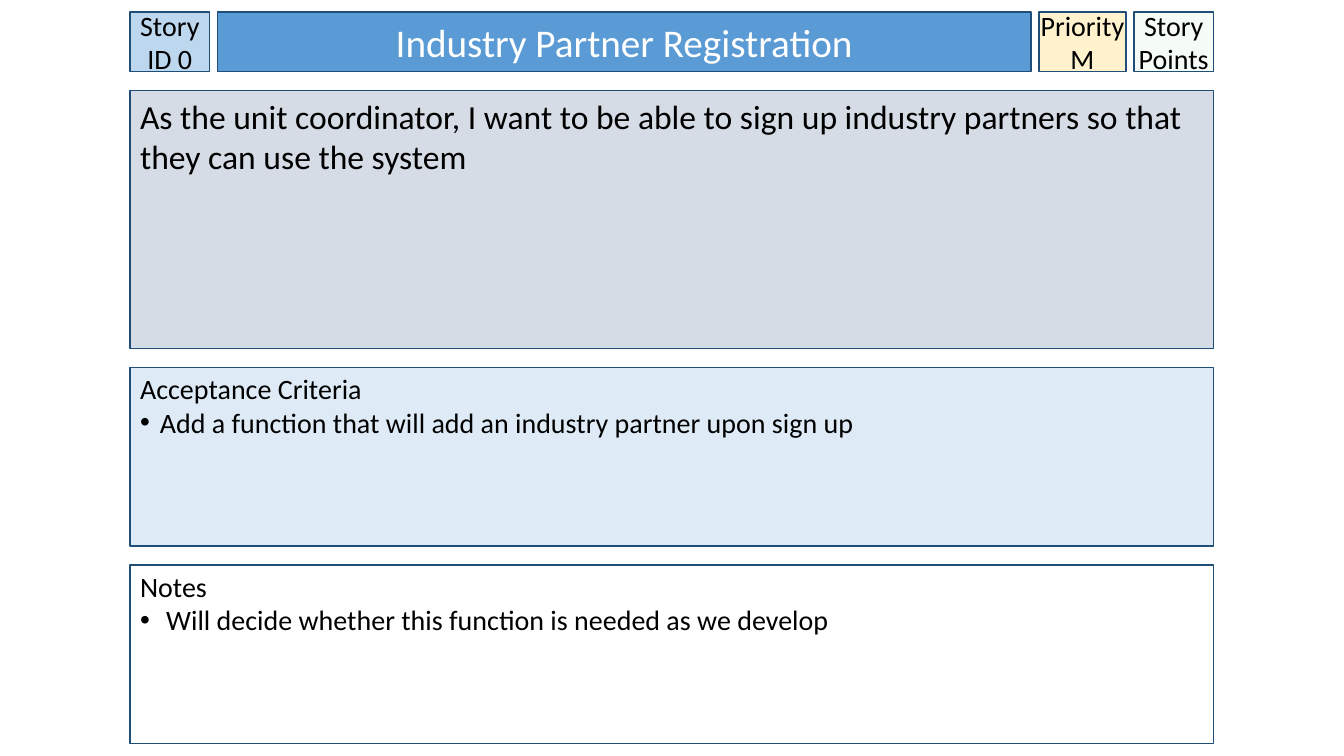
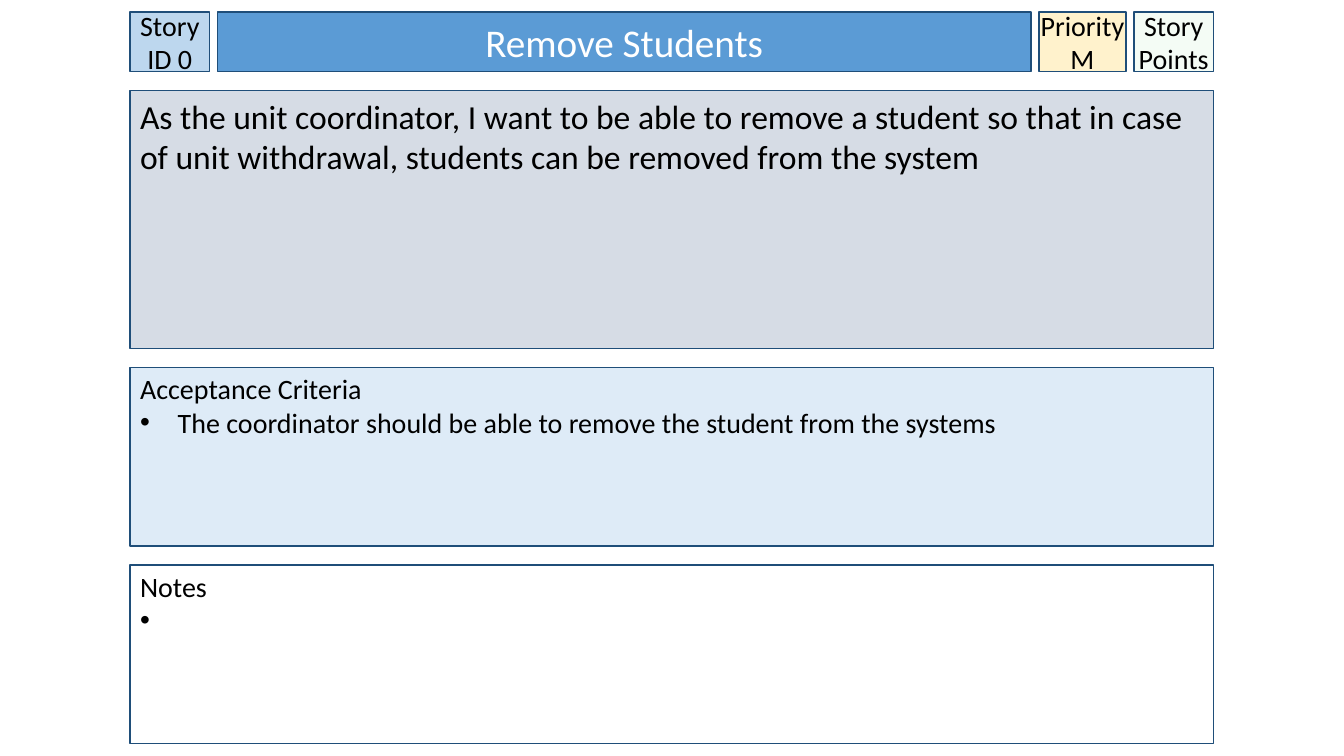
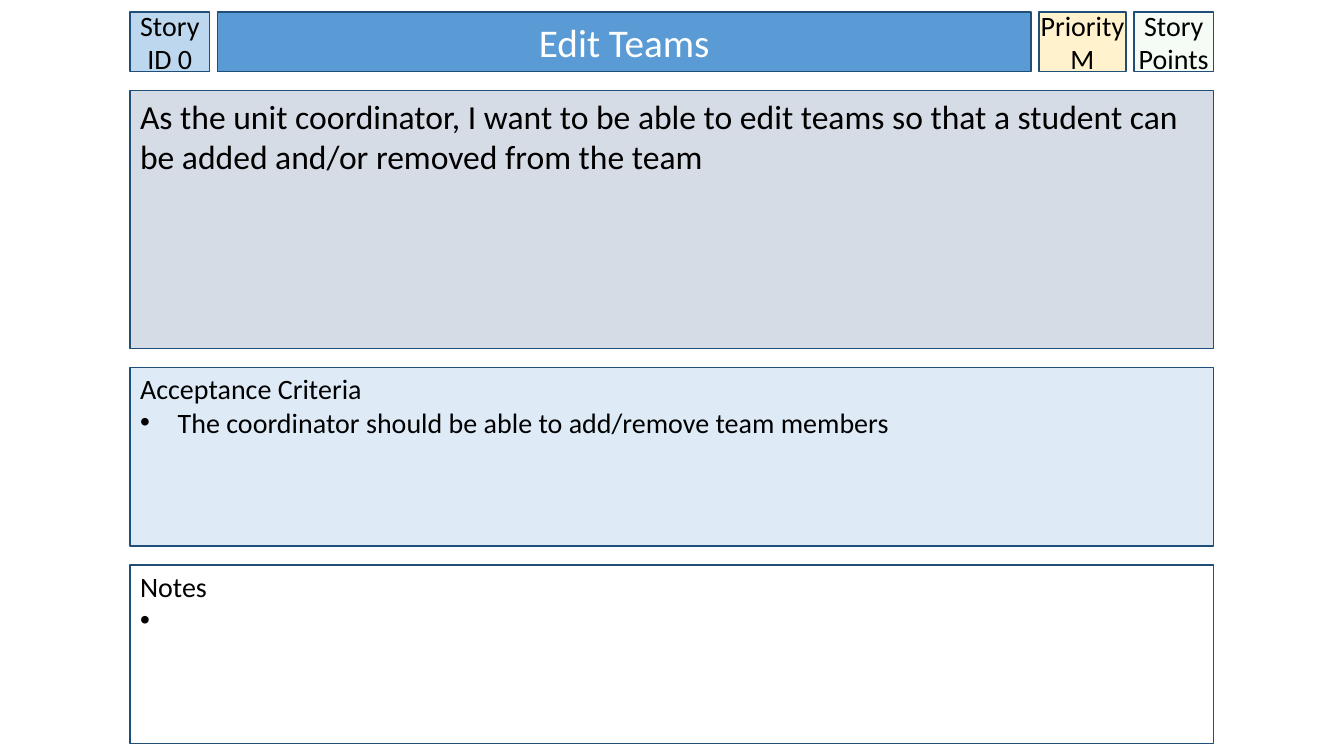
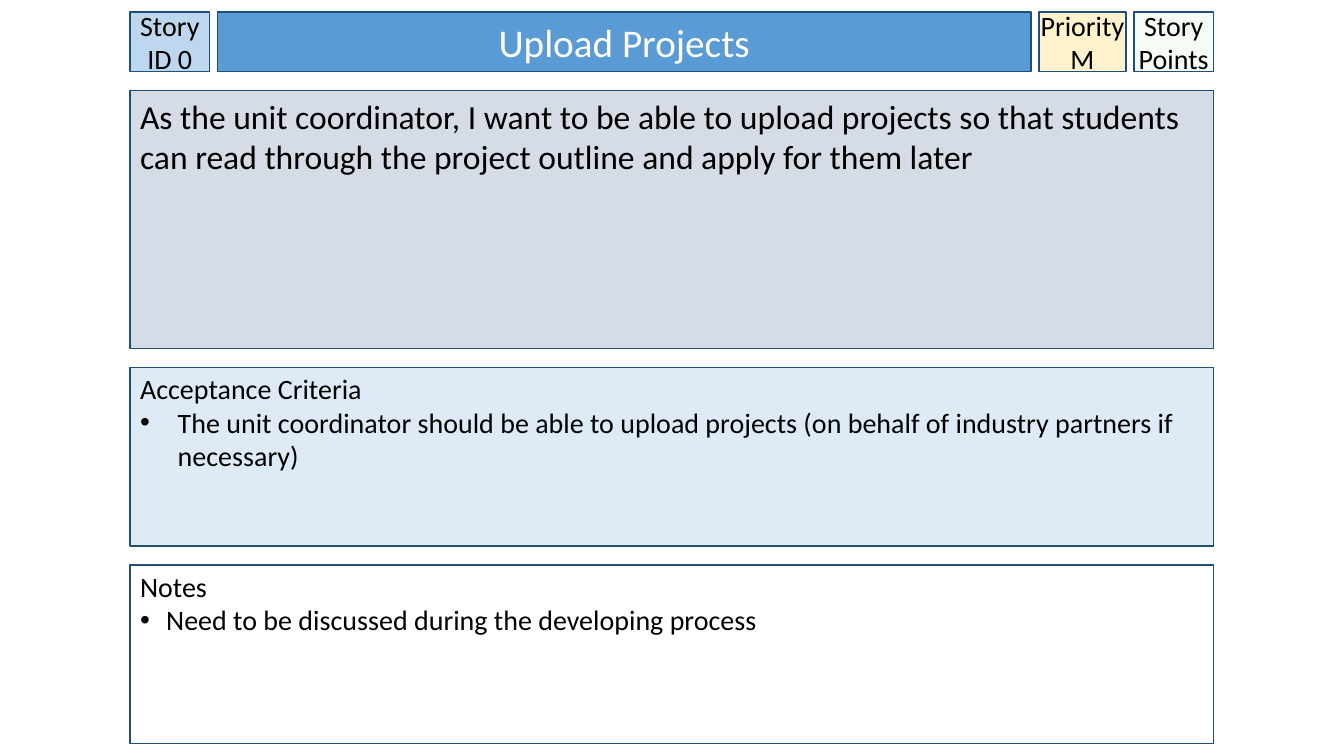
from dataclasses import dataclass

from lxml.etree import SubElement
from pptx import Presentation
from pptx.dml.color import RGBColor
from pptx.enum.shapes import MSO_SHAPE as Shape
from pptx.enum.text import MSO_ANCHOR as Anchor, PP_ALIGN as Align
from pptx.oxml.ns import qn
from pptx.util import Cm, Pt

FONT = "Calibri"
BLACK, WHITE, BORDER = "000000", "FFFFFF", "1F4E79"
ID_FILL, TITLE_FILL = "BDD7EE", "5B9BD5"
PRIORITY_FILL, POINTS_FILL = "FFF2CC", "CCF0CD"
STORY_FILL, CRITERIA_FILL = "D6DCE5", "DEEBF7"

CARD_LEFT, CARD_TOP, CARD_WIDTH = 3.28, 0.3, 27.3
HEADER_HEIGHT, HEADER_GAP = 1.5, 0.2
STORY_HEIGHT, LIST_HEIGHT, PANEL_GAP = 6.5, 4.5, 0.48
NARROW_INDENT, NOTE_INDENT, WIDE_INDENT = 0.5, 0.66, 0.95


@dataclass
class Story:
    """The wording of one story card."""

    title: str
    text: str
    criterion: str
    note: str = " "
    criterion_indent: float = WIDE_INDENT


STORIES = [
    Story("Industry Partner Registration",
          "As the unit coordinator, I want to be able to sign up industry partners "
          "so that they can use the system",
          "Add a function that will add an industry partner upon sign up",
          "Will decide whether this function is needed as we develop",
          NARROW_INDENT),
    Story("Remove Students",
          "As the unit coordinator, I want to be able to remove a student so that in "
          "case of unit withdrawal, students can be removed from the system",
          "The coordinator should be able to remove the student from the systems"),
    Story("Edit Teams",
          "As the unit coordinator, I want to be able to edit teams so that a student "
          "can be added and/or removed from the team",
          "The coordinator should be able to add/remove team members"),
    Story("Upload Projects",
          "As the unit coordinator, I want to be able to upload projects so that "
          "students can read through the project outline and apply for them later",
          "The unit coordinator should be able to upload projects (on behalf of "
          "industry partners if necessary)",
          "Need to be discussed during the developing process"),
]


def color(hex_string):
    """Return the colour for a hex string."""
    return RGBColor.from_string(hex_string)


def add_box(slide, box, text, fill, size=20, font_color=BLACK,
            align=Align.LEFT, anchor=Anchor.TOP, side=0.25, top=0.13):
    """Add a bordered rectangle with text and return it."""
    shape = slide.shapes.add_shape(Shape.RECTANGLE, *(Cm(length) for length in box))
    shape.shadow.inherit = False
    shape.fill.solid()
    shape.fill.fore_color.rgb = color(fill)
    shape.line.color.rgb = color(BORDER)
    shape.line.width = Pt(1)
    frame = shape.text_frame
    frame.text = text
    frame.word_wrap = True
    frame.vertical_anchor = anchor
    frame.margin_left = frame.margin_right = Cm(side)
    frame.margin_top, frame.margin_bottom = Cm(top), Cm(0.13)
    for paragraph in frame.paragraphs:
        paragraph.alignment = align
        for run in paragraph.runs:
            run.font.name = FONT
            run.font.size = Pt(size)
            run.font.color.rgb = color(font_color)
    return shape


def set_transparent(shape, opacity):
    """Give a solid fill an opacity in percent."""
    fill_color = shape.fill._xPr.find(qn("a:solidFill"))[0]
    SubElement(fill_color, qn("a:alpha")).set("val", str(opacity * 1000))


def set_bullet(paragraph, indent):
    """Give a paragraph a round bullet and a hanging indent."""
    properties = paragraph._p.get_or_add_pPr()
    properties.set("marL", str(Cm(indent)))
    properties.set("indent", str(-Cm(indent)))
    SubElement(properties, qn("a:buFont")).set("typeface", "Arial")
    SubElement(properties, qn("a:buChar")).set("char", "•")


def add_header(slide, left, top, width, height, title):
    """Add the row with story number, title, priority and points."""
    id_width, priority_width, points_width = 2, 2.2, 2
    title_width = width - id_width - priority_width - points_width - 3 * HEADER_GAP
    cells = [
        (id_width, "Story ID 0", ID_FILL, {"side": 0}),
        (title_width, title, TITLE_FILL, {"size": 28, "font_color": WHITE}),
        (priority_width, "Priority\nM", PRIORITY_FILL, {"side": 0}),
        (points_width, "Story Points", POINTS_FILL, {"side": 0}),
    ]
    shapes = []
    for cell_width, text, fill, style in cells:
        shapes.append(add_box(slide, (left, top, cell_width, height), text, fill,
                              align=Align.CENTER, anchor=Anchor.MIDDLE, **style))
        left += cell_width + HEADER_GAP
    priority, points = shapes[2:]
    priority.text_frame.word_wrap = False
    set_transparent(points, 20)


def add_list_panel(slide, box, heading, item, indent, fill):
    """Add a panel with a heading and one bulleted item."""
    panel = add_box(slide, box, f"{heading}\n{item}", fill, top=0.1)
    set_bullet(panel.text_frame.paragraphs[1], indent)


def add_card(slide, left, top, width, story):
    """Add a story card: header, story text, criteria and notes."""
    add_header(slide, left, top, width, HEADER_HEIGHT, story.title)
    top += HEADER_HEIGHT + PANEL_GAP
    add_box(slide, (left, top, width, STORY_HEIGHT), story.text, STORY_FILL, size=24)
    top += STORY_HEIGHT + PANEL_GAP
    add_list_panel(slide, (left, top, width, LIST_HEIGHT), "Acceptance Criteria",
                   story.criterion, story.criterion_indent, CRITERIA_FILL)
    top += LIST_HEIGHT + PANEL_GAP
    add_list_panel(slide, (left, top, width, LIST_HEIGHT), "Notes",
                   story.note, NOTE_INDENT, WHITE)


def main():
    """Build the presentation with one card per slide."""
    presentation = Presentation()
    presentation.slide_width, presentation.slide_height = Cm(33.87), Cm(19.05)
    for story in STORIES:
        slide = presentation.slides.add_slide(presentation.slide_layouts[6])
        add_card(slide, CARD_LEFT, CARD_TOP, CARD_WIDTH, story)
    presentation.save("out.pptx")


main()
